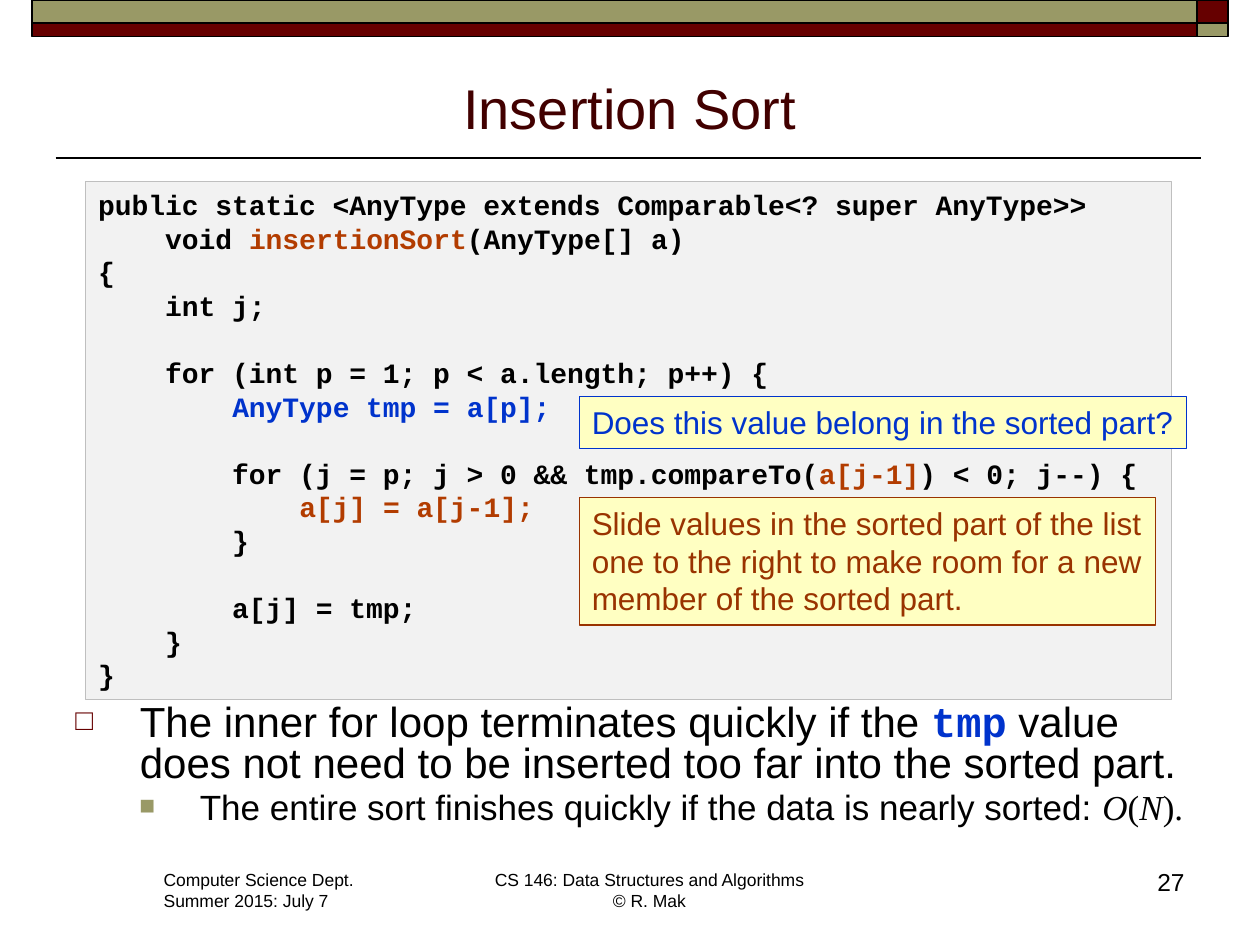
import lxml.etree
import pptx
import pptx.dml.color
import pptx.enum.shapes
import pptx.enum.text
import pptx.oxml.ns
import pptx.util

Cm = pptx.util.Cm
Pt = pptx.util.Pt
qn = pptx.oxml.ns.qn
ALIGN = pptx.enum.text.PP_ALIGN
ANCHOR = pptx.enum.text.MSO_ANCHOR

COLORS = {
    "black": "000000",
    "maroon": "660000",
    "olive": "999966",
    "title": "420000",
    "blue": "0033CC",
    "orange": "B23C00",
    "rust": "993300",
    "note": "FFFFC2",
    "code": "F2F2F2",
    "code_edge": "BFBFBF",
}


def rgb(name):
    return pptx.dml.color.RGBColor.from_string(COLORS[name])


def add_text(paragraph, text, size=18, font="Arial", color="black", bold=False, italic=False):
    for index, line in enumerate(text.split("\n")):
        if index:
            paragraph.add_line_break()
        run = paragraph.add_run()
        run.text = line
        run.font.size = Pt(size)
        run.font.name = font
        run.font.bold = bold
        run.font.italic = italic
        run.font.color.rgb = rgb(color)


class SlideBuilder:
    def __init__(self, slide):
        self.slide = slide
        self.edge = 1

    def box(self, left, top, width, height, fill, line="black", weight=None):
        shape = self.slide.shapes.add_shape(
            pptx.enum.shapes.MSO_SHAPE.RECTANGLE, Cm(left), Cm(top), Cm(width), Cm(height))
        shape.shadow.inherit = False
        shape.fill.solid()
        shape.fill.fore_color.rgb = rgb(fill)
        shape.line.color.rgb = rgb(line)
        shape.line.width = Pt(weight or self.edge)
        return shape

    def rule(self, left, right, y):
        line = self.slide.shapes.add_connector(
            pptx.enum.shapes.MSO_CONNECTOR.STRAIGHT, Cm(left), Cm(y), Cm(right), Cm(y))
        line.line.color.rgb = rgb("black")
        line.line.width = Pt(self.edge)
        lxml.etree.SubElement(line._element.spPr, qn("a:effectLst"))

    def fill_text(self, shape, paragraphs, wrap=True, align=ALIGN.LEFT, anchor=ANCHOR.TOP, **style):
        frame = shape.text_frame
        frame.word_wrap = wrap
        frame.vertical_anchor = anchor
        for index, parts in enumerate(paragraphs):
            paragraph = frame.add_paragraph() if index else frame.paragraphs[0]
            paragraph.alignment = align
            for part in [parts] if isinstance(parts, str) else parts:
                text, changes = (part, {}) if isinstance(part, str) else part
                if text:
                    add_text(paragraph, text, **{**style, **changes})
                else:
                    end = lxml.etree.SubElement(paragraph._p, qn("a:endParaRPr"))
                    end.set("sz", str(style["size"] * 100))
        return frame

    def text(self, left, top, width, height, paragraphs, **options):
        shape = self.slide.shapes.add_textbox(Cm(left), Cm(top), Cm(width), Cm(height))
        return self.fill_text(shape, paragraphs, **options)

    def panel(self, left, top, width, height, fill, line, paragraphs, **style):
        shape = self.box(left, top, width, height, fill, line, weight=0.75)
        self.fill_text(shape, paragraphs, wrap=False, **style)

    def bullet(self, paragraph, symbol, color, percent, margin, hanging, level=0):
        paragraph.level = level
        properties = paragraph._p.get_or_add_pPr()
        properties.set("marL", str(Cm(margin)))
        properties.set("indent", str(-Cm(hanging)))
        tint = lxml.etree.SubElement(properties, qn("a:buClr"))
        lxml.etree.SubElement(tint, qn("a:srgbClr")).set("val", COLORS[color])
        lxml.etree.SubElement(properties, qn("a:buSzPct")).set("val", str(percent * 1000))
        lxml.etree.SubElement(properties, qn("a:buFont")).set("typeface", "Arial")
        lxml.etree.SubElement(properties, qn("a:buChar")).set("char", symbol)
        paragraph.line_spacing = 0.8


def build():
    deck = pptx.Presentation()
    deck.slide_width, deck.slide_height = Cm(25.4), Cm(19.05)
    page = SlideBuilder(deck.slides.add_slide(deck.slide_layouts[6]))

    page.rule(1.12, 24.21, 3.18)
    for left, width, upper, lower in (
        (0.64, 23.49, "olive", "maroon"),
        (24.13, 0.63, "maroon", "olive"),
    ):
        page.box(left, 0, width, 0.46, upper)
        page.box(left, 0.46, width, 0.28, lower)

    page.text(3.05, 17.4, 4.39, 1.12, ["Computer Science Dept.", "Summer 2015: July 7"],
              wrap=False, size=10)
    page.text(9.7, 17.4, 6.78, 1.12, ["CS 146: Data Structures and Algorithms\n© R. Mak"],
              wrap=False, align=ALIGN.CENTER, size=10)
    page.text(18.85, 17.35, 5.28, 1.27, ["27"], align=ALIGN.RIGHT, size=14)
    page.text(1.27, 1.14, 22.86, 1.83, ["Insertion Sort"], align=ALIGN.CENTER,
              anchor=ANCHOR.BOTTOM, size=32, color="title")

    formula = {"font": "Times New Roman", "size": 20}
    variable = {**formula, "italic": True}
    summary = page.text(1.27, 14.1, 23.37, 2.92, [
        ["The inner for loop terminates quickly if the ",
         ("tmp", {"font": "Courier New", "color": "blue", "bold": True}),
         " value does not need to be inserted too far into the sorted part."],
        [("The entire sort finishes quickly if the data is nearly sorted: ", {"size": 20}),
         ("O", variable), ("(", formula), ("N", variable), (").", formula)],
    ], size=24)
    point, detail = summary.paragraphs
    page.bullet(point, "□", "maroon", 70, margin=1.3, hanging=1.3)
    page.bullet(detail, "■", "olive", 75, margin=2.51, hanging=1.22, level=1)
    detail.space_before = Pt(4)

    moved = {"color": "orange"}
    saved = {"color": "blue"}
    page.panel(1.73, 3.66, 21.89, 10.44, "code", "code_edge", [
        "public static <AnyType extends Comparable<? super AnyType>>",
        ["    void ", ("insertionSort", moved), "(AnyType[] a)"],
        "{",
        "    int j;",
        "",
        "    for (int p = 1; p < a.length; p++) {",
        ["        ", ("AnyType tmp = a[p];", saved)],
        "",
        ["        for (j = p; j > 0 && tmp.compareTo(", ("a[j-1]", moved), ") < 0; j--) {"],
        ["            ", ("a[j] = a[j-1];", moved)],
        "        }",
        "",
        "        a[j] = tmp;",
        "    }",
        "}",
    ], size=16, font="Courier New", bold=True)

    page.panel(11.68, 10.03, 11.61, 2.57, "note", "rust", [
        "Slide values in the sorted part of the list",
        "one to the right to make room for a new",
        "member of the sorted part.",
    ], color="rust")
    page.panel(11.68, 8, 12.24, 1.04, "note", "blue",
               ["Does this value belong in the sorted part?"], color="blue")

    deck.save("out.pptx")


if __name__ == "__main__":
    build()
